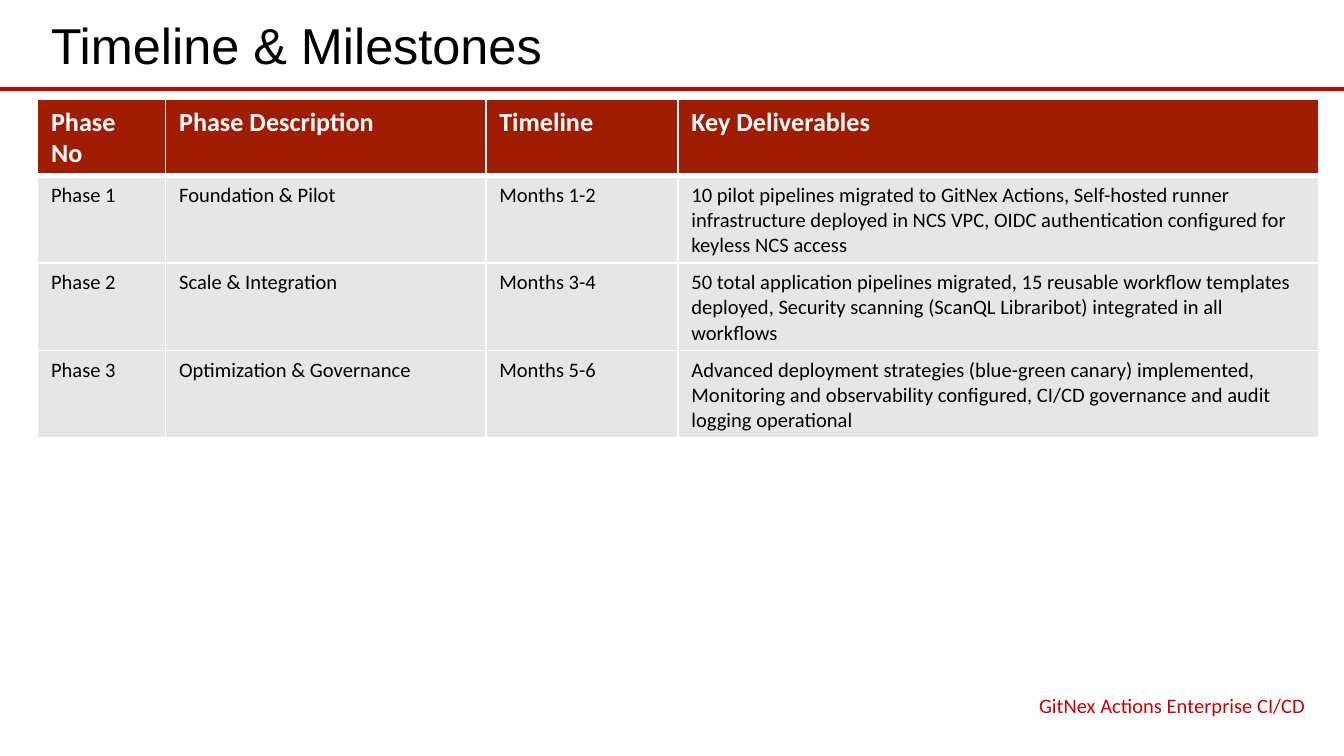
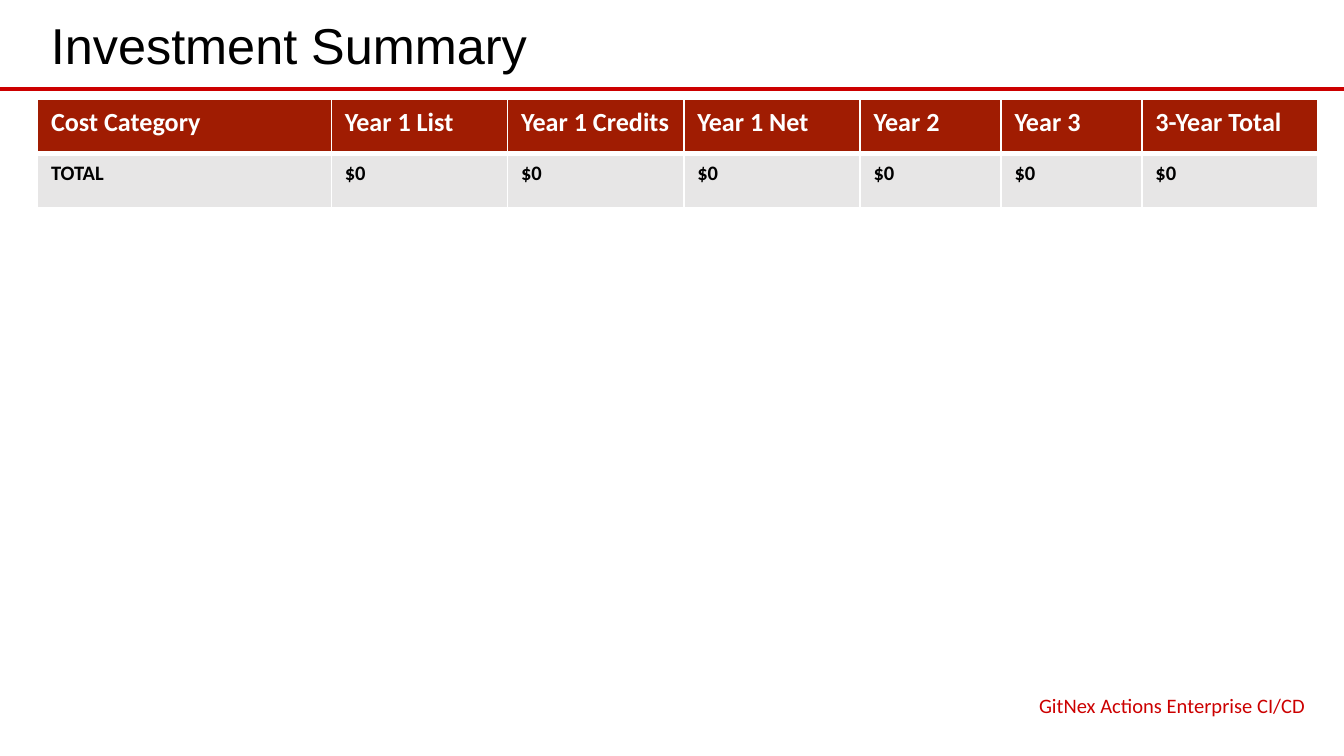
"""Build the timeline and investment slides of the CI/CD proposal."""
from lxml import etree
from pptx import Presentation
from pptx import util as u
from pptx.dml.color import RGBColor
from pptx.enum import shapes, text
from pptx.oxml.ns import qn

RED = RGBColor(0xCC, 0x00, 0x00)
BRICK = RGBColor(0xA0, 0x1C, 0x02)
GREY = RGBColor(0xE7, 0xE6, 0xE6)
BLACK = RGBColor(0x00, 0x00, 0x00)
WHITE = RGBColor(0xFF, 0xFF, 0xFF)

WIDTH = u.Inches(10)
HEIGHT = WIDTH * 9 // 16
LEFT = u.Inches(0.28)
CONTENT = u.Inches(9.53)
RULE_Y = u.Inches(0.66)
TABLE_Y = u.Inches(0.74)
ROW = int(HEIGHT * 0.072)
FOOTER_W = u.Inches(3.52)

TITLE = {"name": "Arial", "size": u.Pt(27)}
HEAD = {"name": "Calibri", "size": u.Pt(14), "bold": True}
BODY = {"name": "Calibri", "size": u.Pt(11), "bold": False}
TOTAL = {**BODY, "bold": True}

PAGES = [
    ("Timeline & Milestones", (10, 25, 15, 50), BODY, [
        ("Phase No", "Phase Description", "Timeline", "Key Deliverables"),
        ("Phase 1", "Foundation & Pilot", "Months 1-2",
         "10 pilot pipelines migrated to GitNex Actions, Self-hosted runner "
         "infrastructure deployed in NCS VPC, OIDC authentication configured "
         "for keyless NCS access"),
        ("Phase 2", "Scale & Integration", "Months 3-4",
         "50 total application pipelines migrated, 15 reusable workflow "
         "templates deployed, Security scanning (ScanQL Libraribot) "
         "integrated in all workflows"),
        ("Phase 3", "Optimization & Governance", "Months 5-6",
         "Advanced deployment strategies (blue-green canary) implemented, "
         "Monitoring and observability configured, CI/CD governance and "
         "audit logging operational"),
    ]),
    ("Investment Summary", (25, 15, 15, 15, 12, 12, 15), TOTAL, [
        ("Cost Category", "Year 1 List", "Year 1 Credits", "Year 1 Net",
         "Year 2", "Year 3", "3-Year Total"),
        ("TOTAL",) + ("$0",) * 6,
    ]),
]


def write(frame, words, style, color, align=text.PP_ALIGN.LEFT):
    """Put one styled paragraph into a text frame."""
    frame.word_wrap = True
    paragraph = frame.paragraphs[0]
    paragraph.alignment = align
    run = paragraph.add_run()
    run.text = words
    for key, value in style.items():
        setattr(run.font, key, value)
    run.font.color.rgb = color


def edge(cell, weights):
    """Give a cell white borders, with weights in points for each side."""
    properties = cell._tc.get_or_add_tcPr()
    for position, (side, points) in enumerate(weights.items()):
        line = etree.Element(qn(f"a:ln{side}"), w=str(u.Pt(points)))
        fill = etree.SubElement(line, qn("a:solidFill"))
        etree.SubElement(fill, qn("a:srgbClr"), val=str(WHITE))
        properties.insert(position, line)


deck = Presentation()
deck.slide_width, deck.slide_height = WIDTH, HEIGHT

for title, shares, body_style, rows in PAGES:
    slide = deck.slides.add_slide(deck.slide_layouts[6])

    rule = slide.shapes.add_connector(
        shapes.MSO_CONNECTOR.STRAIGHT, 0, RULE_Y, WIDTH, RULE_Y)
    rule.line.color.rgb = RED
    rule.line.width = u.Pt(2.25)
    etree.SubElement(rule._element.spPr, qn("a:effectLst"))

    heading = slide.shapes.add_textbox(
        LEFT, u.Inches(0.04), CONTENT, u.Inches(0.58)).text_frame
    heading.vertical_anchor = text.MSO_ANCHOR.MIDDLE
    write(heading, title, TITLE, BLACK)

    grid = slide.shapes.add_table(
        len(rows), len(shares), LEFT, TABLE_Y, CONTENT, ROW * len(rows)).table
    grid.horz_banding = False
    for column, share in zip(grid.columns, shares):
        column.width = CONTENT * share // sum(shares)
    for r, row in enumerate(rows):
        grid.rows[r].height = ROW
        style, ink, fill = (body_style, BLACK, GREY) if r else (HEAD, WHITE, BRICK)
        for c, words in enumerate(row):
            cell = grid.cell(r, c)
            cell.fill.solid()
            cell.fill.fore_color.rgb = fill
            write(cell.text_frame, words, style, ink)
            edge(cell, {"L": 1, "R": 1, "T": 3 if r == 1 else 1, "B": 1 if r else 3})

    footer = slide.shapes.add_textbox(
        LEFT + CONTENT - FOOTER_W, u.Inches(5.12), FOOTER_W, u.Inches(0.26)).text_frame
    footer.vertical_anchor = text.MSO_ANCHOR.MIDDLE
    write(footer, "GitNex Actions Enterprise CI/CD", BODY, RED, text.PP_ALIGN.RIGHT)

deck.save("out.pptx")
